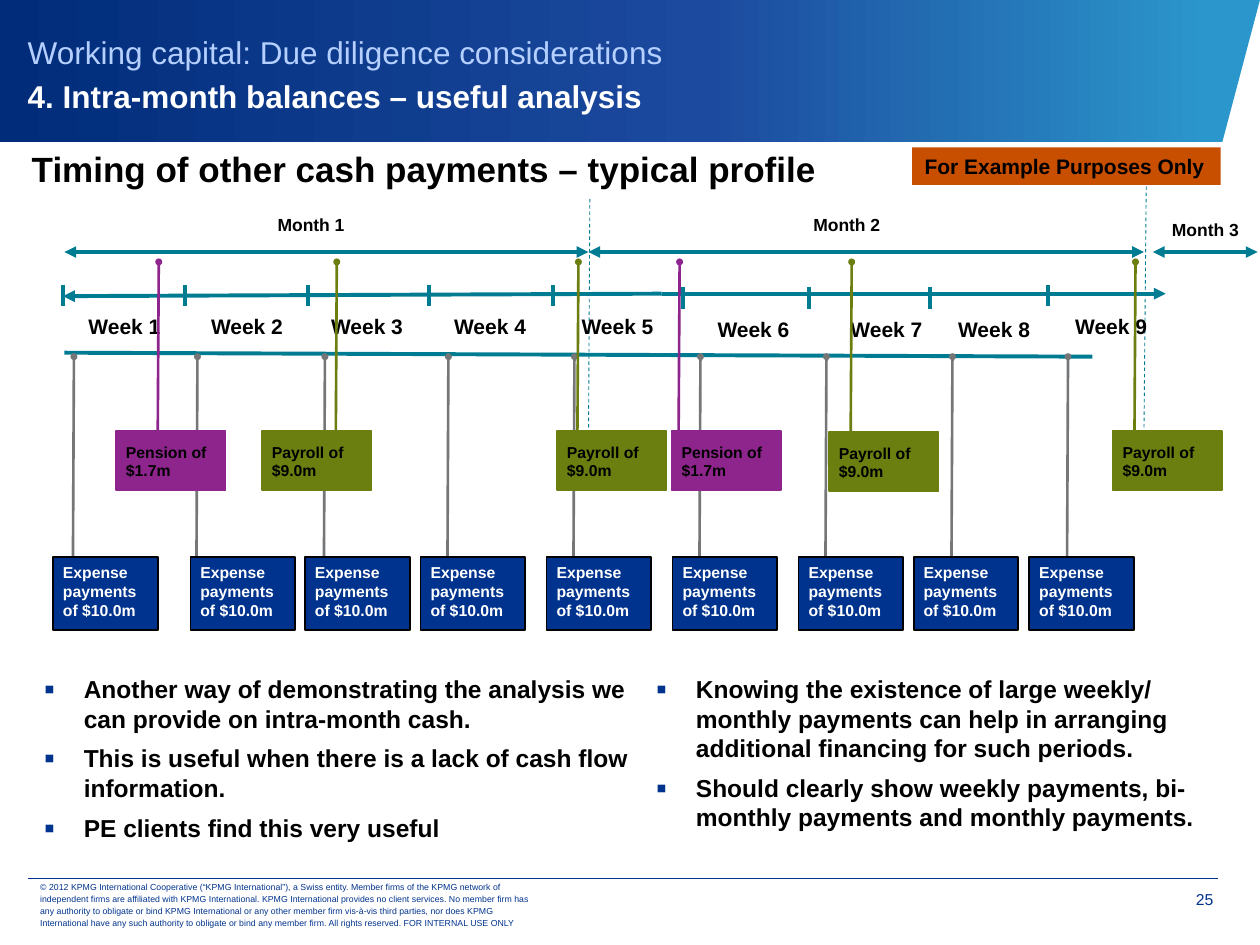
from lxml.etree import SubElement
from pptx import Presentation
from pptx.dml.color import RGBColor
from pptx.enum.dml import MSO_LINE as Dash
from pptx.enum.shapes import MSO_CONNECTOR as Link, MSO_SHAPE as Form
from pptx.enum.text import MSO_ANCHOR as Anchor, PP_ALIGN as Align
from pptx.oxml.ns import qn
from pptx.util import Cm, Pt

NAVY = RGBColor(0x00, 0x33, 0x8D)
TEAL = RGBColor(0x00, 0x7C, 0x92)
GRAY = RGBColor(0x74, 0x76, 0x78)
OLIVE = RGBColor(0x6A, 0x7F, 0x10)
PLUM = RGBColor(0x8E, 0x25, 0x8D)
RUST = RGBColor(0xC8, 0x4E, 0x00)
SKY = RGBColor(0xB5, 0xD0, 0xFF)
BLACK = RGBColor(0, 0, 0)
WHITE = RGBColor(255, 255, 255)
FADE = ((4, RGBColor(0x2B, 0x96, 0xCB)), (44, RGBColor(0x1C, 0x4A, 0x9E)),
        (100, RGBColor(0x00, 0x2C, 0x7A)))


class Deck:
    """Draws styled elements on the current slide, with lengths in centimetres."""

    def __init__(self, font):
        self.font = font
        self.show = Presentation()
        self.show.slide_width, self.show.slide_height = Cm(25.4), Cm(19.05)
        self.slide = self.show.slides.add_slide(self.show.slide_layouts[6])
        self.shapes = self.slide.shapes

    def run(self, para, text, size, color=BLACK, bold=True):
        run = para.add_run()
        run.text = text
        font = run.font
        font.name, font.size, font.bold = self.font, Pt(size), bold
        font.color.rgb = color

    def frame(self, shape, pad=(0, 0, 0, 0), anchor=Anchor.TOP, wrap=True):
        frame = shape.text_frame
        frame.word_wrap, frame.vertical_anchor = wrap, anchor
        (frame.margin_left, frame.margin_top,
         frame.margin_right, frame.margin_bottom) = (Cm(side) for side in pad)
        return frame

    def text(self, area, runs, align=Align.LEFT, pitch=None, **style):
        shape = self.shapes.add_textbox(*(Cm(side) for side in area))
        para = self.frame(shape, **style).paragraphs[0]
        para.alignment = align
        if pitch:
            para.line_spacing = Pt(pitch)
        for index, run in enumerate(runs):
            if index:
                para.add_line_break()
            self.run(para, *run)

    def label(self, mid, level, text, size):
        self.text((mid - 1, level - 0.25, 2, 0.5), [(text, size)],
                  Align.CENTER, anchor=Anchor.MIDDLE, wrap=False)

    def box(self, area, text, size, fill, edge=None, color=BLACK, **style):
        shape = self.shapes.add_shape(Form.RECTANGLE, *(Cm(side) for side in area))
        shape.shadow.inherit = False
        shape.fill.solid()
        shape.fill.fore_color.rgb = fill
        if edge is None:
            shape.line.fill.background()
        else:
            shape.line.color.rgb, shape.line.width = edge, Pt(1)
        para = self.frame(shape, **style).paragraphs[0]
        para.alignment = Align.LEFT
        self.run(para, text, size, color)

    def line(self, start, end, color, width, head=None, tail=None, dash=False):
        link = self.shapes.add_connector(
            Link.STRAIGHT, *(Cm(side) for side in (*start, *end)))
        link.line.color.rgb, link.line.width = color, Pt(width)
        if dash:
            link.line.dash_style = Dash.DASH
        pen = link.line._get_or_add_ln()
        for tag, kind in (("a:headEnd", head), ("a:tailEnd", tail)):
            if kind:
                size = "sm" if kind == "oval" else "med"
                SubElement(pen, qn(tag), type=kind, w=size, len=size)
        SubElement(link._element.spPr, qn("a:effectLst"))

    def banner(self, points, stops):
        first, *rest = [(Cm(x), Cm(y)) for x, y in points]
        path = self.shapes.build_freeform(*first)
        path.add_line_segments(rest, close=True)
        shape = path.convert_to_shape()
        shape.shadow.inherit = False
        shape.line.fill.background()
        shape.fill.gradient()
        shape.fill.gradient_angle = 180
        chain = shape._element.spPr.find(qn("a:gradFill")).find(qn("a:gsLst"))
        for stop in list(chain):
            chain.remove(stop)
        for place, color in stops:
            stop = SubElement(chain, qn("a:gs"), pos=str(place * 1000))
            SubElement(stop, qn("a:srgbClr"), val=str(color))

    def list(self, area, items, size, gap):
        frame = self.frame(self.shapes.add_textbox(*(Cm(side) for side in area)))
        for index, item in enumerate(items):
            para = frame.add_paragraph() if index else frame.paragraphs[0]
            props = para._p.get_or_add_pPr()
            props.set("marL", str(Cm(0.8)))
            props.set("indent", str(-Cm(0.8)))
            SubElement(SubElement(props, qn("a:buClr")), qn("a:srgbClr"), val=str(NAVY))
            SubElement(props, qn("a:buSzPct"), val="125000")
            SubElement(props, qn("a:buFont"), typeface=self.font)
            SubElement(props, qn("a:buChar"), char="▪")
            if index:
                para.space_before = Pt(gap)
            self.run(para, item, size)

    def save(self):
        self.show.save("out.pptx")


def main():
    deck = Deck("Arial")
    deck.banner([(0, 2.87), (24.64, 2.87), (25.4, 0), (0, 0)], FADE)
    deck.text((0.56, 0.33, 23.75, 2.21), [
        ("Working capital: Due diligence considerations", 18, SKY, False),
        ("4. Intra-month balances – useful analysis", 18, WHITE),
    ], pitch=25, anchor=Anchor.MIDDLE)
    deck.text((0.64, 2.97, 17.98, 0.84),
              [("Timing of other cash payments – typical profile", 20)])

    arrow = "triangle"
    months = ((1.3, 11.86, 6.27, 4.52), (11.86, 23.06, 17.07, 4.52),
              (23.24, 25.35, 24.3, 4.62))
    for index, (left, right, mid, level) in enumerate(months, 1):
        deck.line((left, 5.08), (right, 5.08), TEAL, 2.25, arrow, arrow)
        deck.label(mid, level, f"Month {index}", 10)
    for right, left, top, base in ((11.89, 11.86, 4.01, 9.47),
                                   (23.11, 23.06, 3.38, 8.84)):
        deck.line((right, top), (left, base), TEAL, 0.5, dash=True)
    deck.box((18.39, 2.97, 6.22, 0.76), "For Example Purposes Only", 12, RUST,
             pad=(0.25, 0.13, 0.25, 0.13), anchor=Anchor.MIDDLE, wrap=False)
    deck.line((1.27, 5.97), (13.34, 5.92), TEAL, 2.25, head=arrow)
    deck.line((13.34, 5.92), (23.5, 5.92), TEAL, 2.25, tail=arrow)
    deck.line((1.3, 7.11), (22.02, 7.19), TEAL, 2.25)

    weeks = ((1.27, 2.51, 1.47, 1.07), (3.73, 4.98, 3.96, 3.84),
             (6.2, 7.4, 6.53, 6.15), (8.64, 9.88, 9.02, 8.48),
             (11.15, 12.45, 11.56, 11.02), (13.77, 15.19, 14.1, 13.56),
             (16.31, 17.87, 16.64, 16.1), (18.75, 20.04, 19.18, 18.42),
             (21.13, 22.4, 21.51, 20.75))
    pad = (0.2, 0.2, 0.2, 0.2)
    for index, (tick, mid, stem, left) in enumerate(weeks, 1):
        drop = 0.05 if index in (6, 7, 8) else 0
        deck.line((tick, 5.74 + drop), (tick, 6.17 + drop), TEAL, 2.25)
        deck.label(mid, 6.58 + drop, f"Week {index}", 12)
        deck.line((stem, 11.4), (stem + 0.02, 7.19), GRAY, 1.5, tail="oval")
        deck.box((left, 11.23, 2.11, 1.47), "Expense payments of $10.0m", 9,
                 NAVY, BLACK, WHITE, pad=pad, anchor=Anchor.BOTTOM)

    pension, payroll = ("Pension of $1.7m", PLUM), ("Payroll of $9.0m", OLIVE)
    costs = ((pension, 2.34, 8.69, 3.18), (payroll, 5.28, 8.69, 6.77),
             (payroll, 11.23, 8.69, 11.64), (pension, 13.54, 8.69, 13.68),
             (payroll, 16.71, 8.71, 17.15), (payroll, 22.43, 8.69, 22.87))
    for (text, color), left, top, stem in costs:
        deck.box((left, top, 2.21, 1.19), text, 9, color, color,
                 pad=pad, anchor=Anchor.BOTTOM)
        deck.line((stem, top), (stem + 0.02, 5.28), color, 1.5, tail="oval")

    deck.list((0.89, 13.59, 11.91, 2.21), [
        "Another way of demonstrating the analysis we can provide on intra-month cash.",
        "This is useful when there is a lack of cash flow information.",
        "PE clients find this very useful"], 14, 6)
    deck.list((13.23, 13.59, 11.91, 2.21), [
        "Knowing the existence of large weekly/ monthly payments can help in "
        "arranging additional financing for such periods.",
        "Should clearly show weekly payments, bi-monthly payments and monthly "
        "payments."], 14, 6)

    deck.line((0.56, 17.7), (24.56, 17.7), NAVY, 0.25)
    deck.text((0.56, 17.78, 10.54, 0.89), [(
        "© 2012 KPMG International Cooperative (“KPMG International”), a Swiss entity. "
        "Member firms of the KPMG network of independent firms are affiliated with "
        "KPMG International. KPMG International provides no client services. No member "
        "firm has any authority to obligate or bind KPMG International or any other "
        "member firm vis-à-vis third parties, nor does KPMG International have any such "
        "authority to obligate or bind any member firm. All rights reserved. FOR "
        "INTERNAL USE ONLY", 5, NAVY, False)],
        pitch=7, pad=(0.25, 0.13, 0.25, 0.13), anchor=Anchor.MIDDLE)
    deck.text((23.06, 17.73, 1.4, 0.79), [("25", 9, NAVY, False)], Align.RIGHT,
              pad=(0.2, 0.2, 0, 0))
    deck.save()


if __name__ == "__main__":
    main()
